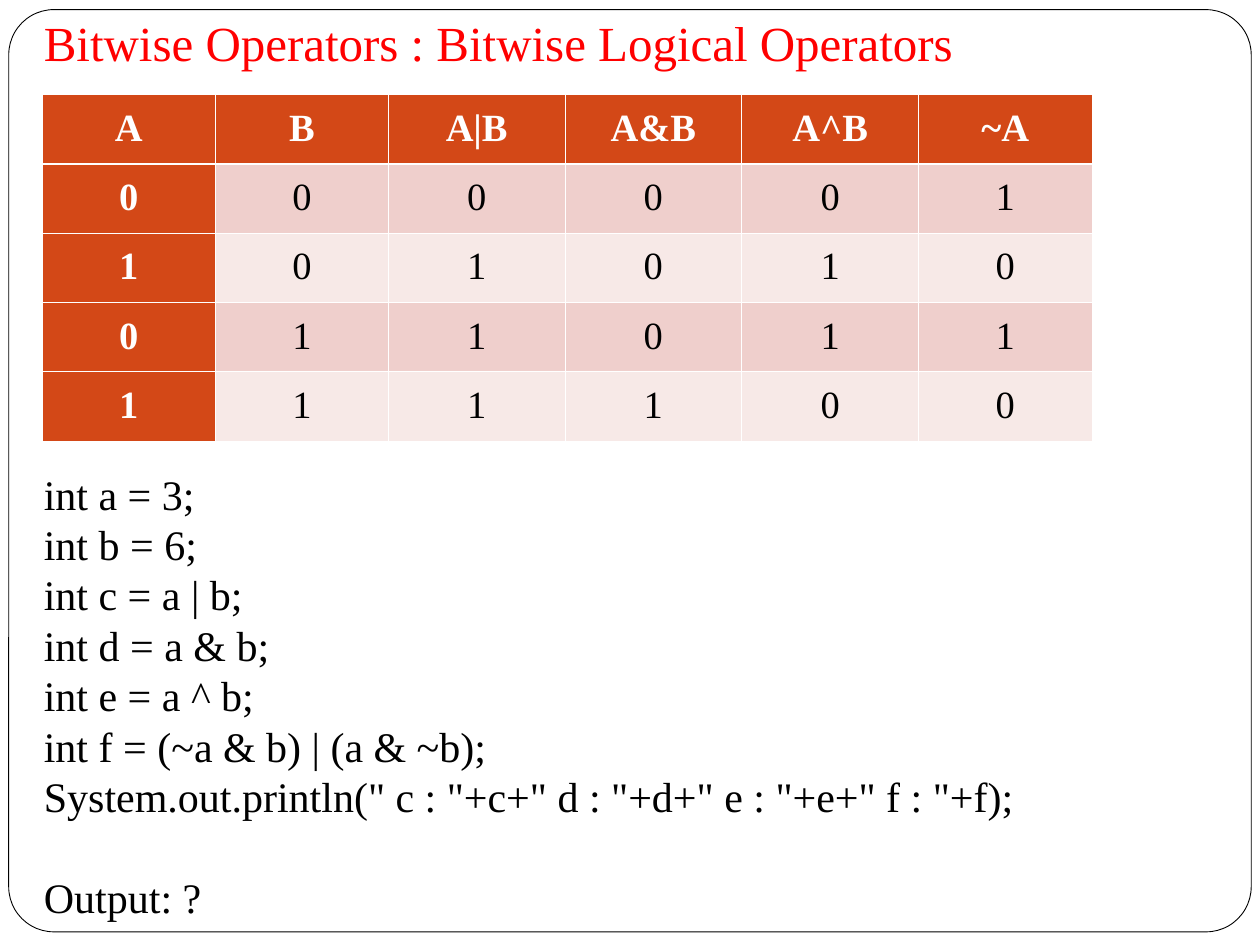
from lxml.etree import SubElement
from pptx import Presentation
from pptx.dml.color import RGBColor as RGB
from pptx.enum.shapes import MSO_SHAPE as Shape
from pptx.enum.text import MSO_ANCHOR as Anchor, PP_ALIGN as Align
from pptx.oxml.ns import qn
from pptx.util import Pt

COLORS = {
    "paper": "FFFFFF",
    "ink": "000000",
    "title": "FF0000",
    "header": "D34817",
    "odd": "EFCFCC",
    "even": "F7E9E7",
}
FONT = "Times New Roman"


def write(paragraph, text, size, color, **formats):
    run = paragraph.add_run()
    run.text = text
    run.font.color.rgb = RGB.from_string(COLORS[color])
    for name, value in {"name": FONT, "size": Pt(size), **formats}.items():
        setattr(run.font, name, value)


def add_borders(cell, widths):
    properties = cell._tc.get_or_add_tcPr()
    for side, width in widths.items():
        border = SubElement(properties, qn(f"a:ln{side}"), w=str(Pt(width)))
        fill = SubElement(border, qn("a:solidFill"))
        SubElement(fill, qn("a:srgbClr"), val=COLORS["paper"])


deck = Presentation()
deck.slide_width, deck.slide_height = Pt(720), Pt(540)
slide = deck.slides.add_slide(deck.slide_layouts[6])

frame = slide.shapes.add_shape(
    Shape.ROUNDED_RECTANGLE, Pt(5), Pt(5.5), Pt(710), Pt(527)
)
frame.adjustments[0] = 0.049
frame.shadow.inherit = False
frame.fill.solid()
frame.fill.fore_color.rgb = RGB.from_string(COLORS["paper"])
frame.line.color.rgb = RGB.from_string(COLORS["ink"])
frame.line.width = Pt(0.5)

heading = slide.shapes.add_textbox(Pt(18), Pt(0), Pt(648), Pt(48)).text_frame
heading_format = {
    "word_wrap": True,
    "vertical_anchor": Anchor.BOTTOM,
    "margin_bottom": Pt(7.2),
}
for name, value in heading_format.items():
    setattr(heading, name, value)
write(
    heading.paragraphs[0], "Bitwise Operators : Bitwise Logical Operators", 28, "title"
)

truth_rows = [
    ["A", "B", "A|B", "A&B", "A^B", "~A"],
    ["0", "0", "0", "0", "0", "1"],
    ["1", "0", "1", "0", "1", "0"],
    ["0", "1", "1", "0", "1", "1"],
    ["1", "1", "1", "1", "0", "0"],
]
column_widths = [99, 99, 100.8, 101.1, 101.1, 99]
row_height = 39.6
truth_table = slide.shapes.add_table(
    len(truth_rows),
    len(column_widths),
    Pt(24),
    Pt(54),
    Pt(sum(column_widths)),
    Pt(row_height * len(truth_rows)),
).table
for column, width in zip(truth_table.columns, column_widths):
    column.width = Pt(width)

for r, values in enumerate(truth_rows):
    truth_table.rows[r].height = Pt(row_height)
    for c, value in enumerate(values):
        cell = truth_table.cell(r, c)
        is_header = r == 0 or c == 0
        band = "odd" if r % 2 else "even"
        add_borders(
            cell,
            {
                "L": 0.45,
                "R": 0.45,
                "T": 1.47 if r == 1 else 0.45,
                "B": 1.47 if r == 0 else 0.45,
            },
        )
        cell.fill.solid()
        cell.fill.fore_color.rgb = RGB.from_string(
            COLORS["header" if is_header else band]
        )
        entry = cell.text_frame.paragraphs[0]
        for name, setting in {"alignment": Align.CENTER, "line_spacing": 1.15}.items():
            setattr(entry, name, setting)
        write(entry, value, 22, "paper" if is_header else "ink", bold=is_header)

code_lines = [
    "int a = 3;",
    "int b = 6;",
    "int c = a | b;",
    "int d = a & b;",
    "int e = a ^ b;",
    "int f = (~a & b) | (a & ~b);",
    'System.out.println(" c : "+c+" d : "+d+" e : "+e+" f : "+f);',
    "Output: ?",
]
code = slide.shapes.add_textbox(Pt(18), Pt(264), Pt(678), Pt(266.4)).text_frame
code.word_wrap = True
for i, text in enumerate(code_lines):
    line = code.add_paragraph() if i else code.paragraphs[0]
    write(line, text, 24, "ink")
line.space_before = Pt(28.8)

deck.save("out.pptx")
